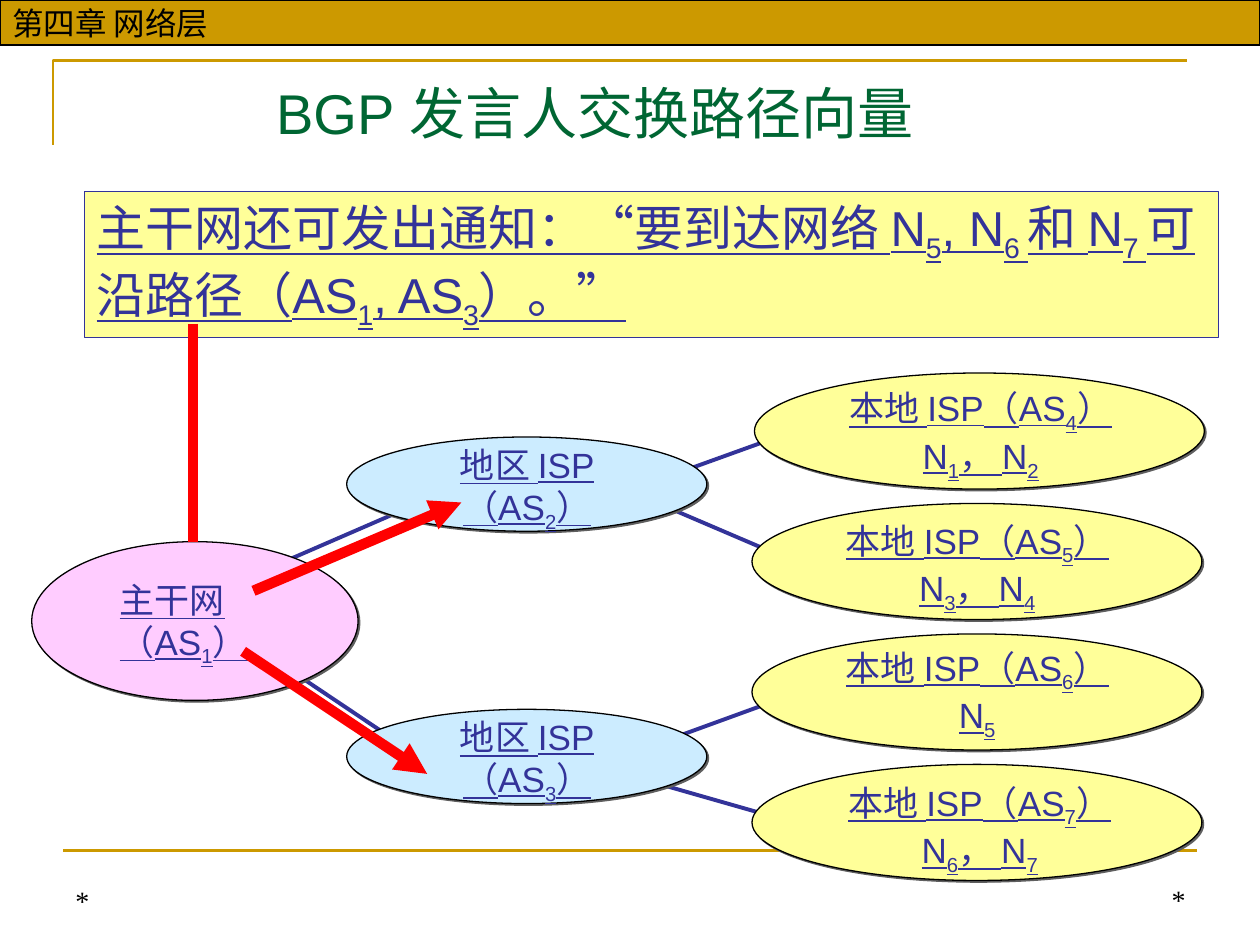
from dataclasses import dataclass

from lxml import etree
from pptx import Presentation
from pptx import util as u
from pptx.dml.color import RGBColor
from pptx.enum import shapes, text
from pptx.oxml.ns import qn


@dataclass(frozen=True)
class Theme:
    gold: str = "CC9900"
    green: str = "006633"
    navy: str = "333399"
    black: str = "000000"
    red: str = "FF0000"
    blue: str = "CCECFF"
    pink: str = "FFCCFF"
    yellow: str = "FFFF99"
    shade: str = "5F5F5F"
    font: str = "Arial"
    serif: str = "Times New Roman"
    title: int = 32
    notice: int = 28
    header: int = 18
    node: int = 20
    mark: int = 16


THEME = Theme()
LEFT, CENTER, RIGHT = (text.PP_ALIGN.LEFT, text.PP_ALIGN.CENTER,
                       text.PP_ALIGN.RIGHT)
TOP, MIDDLE, BOTTOM = (text.MSO_ANCHOR.TOP, text.MSO_ANCHOR.MIDDLE,
                       text.MSO_ANCHOR.BOTTOM)


def rgb(colour):
    return RGBColor.from_string(colour)


def cm(*lengths):
    return [u.Cm(length) for length in lengths]


def write(shape, lines, size, colour, font=THEME.font, align=LEFT, anchor=TOP,
          underline=None, wrap=True, fit=False):
    """Fill a shape with lines; every second part between "_" is a subscript."""
    frame = shape.text_frame
    frame_format = {
        "word_wrap": wrap,
        "vertical_anchor": anchor,
        "auto_size": (text.MSO_AUTO_SIZE.SHAPE_TO_FIT_TEXT if fit
                      else text.MSO_AUTO_SIZE.NONE),
    }
    for name, value in frame_format.items():
        setattr(frame, name, value)
    run_format = {"name": font, "size": u.Pt(size), "underline": underline}
    for row, line in enumerate(lines):
        paragraph = frame.add_paragraph() if row else frame.paragraphs[0]
        paragraph.alignment = align
        for part, words in enumerate(line.split("_")):
            if not words:
                continue
            run = paragraph.add_run()
            run.text = words
            for name, value in run_format.items():
                setattr(run.font, name, value)
            run.font.color.rgb = rgb(colour)
            if part % 2:
                run._r.get_or_add_rPr().set("baseline", "-25000")


def add_label(slide, box, lines, size, colour, **style):
    write(slide.shapes.add_textbox(*cm(*box)), lines, size, colour, **style)


def add_panel(slide, kind, box, fill, line):
    panel = slide.shapes.add_shape(kind, *cm(*box))
    panel.shadow.inherit = False
    panel.fill.solid()
    panel.fill.fore_color.rgb = rgb(fill)
    panel.line.color.rgb = rgb(line)
    panel.line.width = u.Pt(0.75)
    return panel


def add_network(slide, box, fill):
    """Ellipse with a hard shadow to the lower right."""
    oval = add_panel(slide, shapes.MSO_SHAPE.OVAL, box, fill, THEME.black)
    effects = oval._element.spPr.find(qn("a:effectLst"))
    shadow = etree.SubElement(effects, qn("a:outerShdw"), dist="17780",
                              dir="2700000", algn="ctr", rotWithShape="0")
    etree.SubElement(shadow, qn("a:srgbClr"), val=THEME.shade)


def add_line(slide, ends, colour, width, arrow=False):
    line = slide.shapes.add_connector(shapes.MSO_CONNECTOR.STRAIGHT, *cm(*ends))
    line.line.color.rgb = rgb(colour)
    line.line.width = u.Pt(width)
    if arrow:
        etree.SubElement(line.line._get_or_add_ln(), qn("a:tailEnd"),
                         type="triangle")
    etree.SubElement(line._element.spPr, qn("a:effectLst"))


def add_frame(slide):
    # Corner bracket and bottom rule
    builder = slide.shapes.build_freeform(*cm(1.07, 2.92), scale=1.0)
    builder.add_line_segments([cm(1.07, 1.22), cm(23.93, 1.22)], close=False)
    bracket = builder.convert_to_shape()
    bracket.shadow.inherit = False
    bracket.fill.background()
    bracket.line.color.rgb = rgb(THEME.gold)
    bracket.line.width = u.Pt(1.5)
    add_line(slide, (1.27, 17.15, 24.13, 17.15), THEME.gold, 1.5)

    # Chapter band
    band = add_panel(slide, shapes.MSO_SHAPE.RECTANGLE, (0, 0, 25.4, 0.91),
                     THEME.gold, THEME.black)
    write(band, ["第四章 网络层"], THEME.header, THEME.black, anchor=MIDDLE)

    # Footer marks
    for box, align in [((1.27, 17.35, 5.92, 1.27), LEFT),
                       ((16.1, 17.32, 8.05, 1.27), RIGHT)]:
        add_label(slide, box, ["*"], THEME.mark, THEME.black,
                  font=THEME.serif, align=align, anchor=BOTTOM)


def add_title(slide, words):
    title = slide.shapes.title
    title.left, title.top, title.width, title.height = cm(1.3, 1.4, 21.64, 1.73)
    write(title, [words], THEME.title, THEME.green, align=CENTER, anchor=MIDDLE)


def add_networks(slide):
    # Links between the networks
    for ends in [(5.18, 11.56, 8.59, 10.08), (5.18, 13.06, 8.36, 15.19),
                 (13.34, 9.65, 16.28, 8.59), (13.11, 10.08, 16.08, 11.35),
                 (13.34, 14.96, 16.28, 13.89), (13.34, 15.82, 16.28, 16.66)]:
        add_line(slide, ends, THEME.navy, 2.25)

    node = {"size": THEME.node, "colour": THEME.navy, "underline": True,
            "wrap": False, "fit": True}

    # Regional providers
    for system, top in [(2, 8.81), (3, 14.3)]:
        add_network(slide, (6.99, top, 7.26, 1.9), THEME.blue)
        add_label(slide, (8.84, top, 3.58, 2.08),
                  ["地区 ISP", f"（AS_{system}_）"], align=CENTER, **node)

    # Backbone
    add_network(slide, (0.64, 10.92, 6.58, 3.2), THEME.pink)
    add_label(slide, (2.16, 11.53, 3.43, 2.08), ["主干网", "（AS_1_）"], **node)

    # Local providers: ellipse left, label left and top, networks served
    local_providers = [(15.21, 16.43, 7.67, "N_1_， N_2"),
                       (15.16, 16.36, 10.34, "N_3_， N_4"),
                       (15.16, 16.36, 12.9, "N_5"),
                       (15.16, 16.41, 15.62, "N_6_， N_7")]
    for row, (left, label_left, label_top, served) in enumerate(local_providers):
        add_network(slide, (left, 7.52 + 2.63 * row, 9.07, 2.34), THEME.yellow)
        add_label(slide, (label_left, label_top, 6.68, 2.18),
                  [f"本地 ISP（AS_{row + 4}_）", served], align=CENTER, **node)


def add_notice(slide, words):
    notice = add_panel(slide, shapes.MSO_SHAPE.RECTANGLE,
                       (1.7, 3.86, 22.86, 2.95), THEME.yellow, THEME.navy)
    write(notice, [words], THEME.notice, THEME.navy, underline=True, fit=True)

    # Notice goes from the backbone to both regional providers
    add_line(slide, (3.89, 6.53, 3.89, 10.92), THEME.red, 6)
    for ends in [(5.11, 11.91, 9.3, 10.13), (4.9, 13.13, 8.61, 15.6)]:
        add_line(slide, ends, THEME.red, 6, arrow=True)


def main():
    deck = Presentation()
    deck.slide_width, deck.slide_height = cm(25.4, 19.05)
    slide = deck.slides.add_slide(deck.slide_layouts[5])
    add_frame(slide)
    add_title(slide, "BGP 发言人交换路径向量 ")
    add_networks(slide)
    add_notice(slide, "主干网还可发出通知：“要到达网络 N_5_, N_6 _和 N_7 _"
                      "可沿路径（AS_1_, AS_3_）。”")
    deck.save("out.pptx")


if __name__ == "__main__":
    main()
